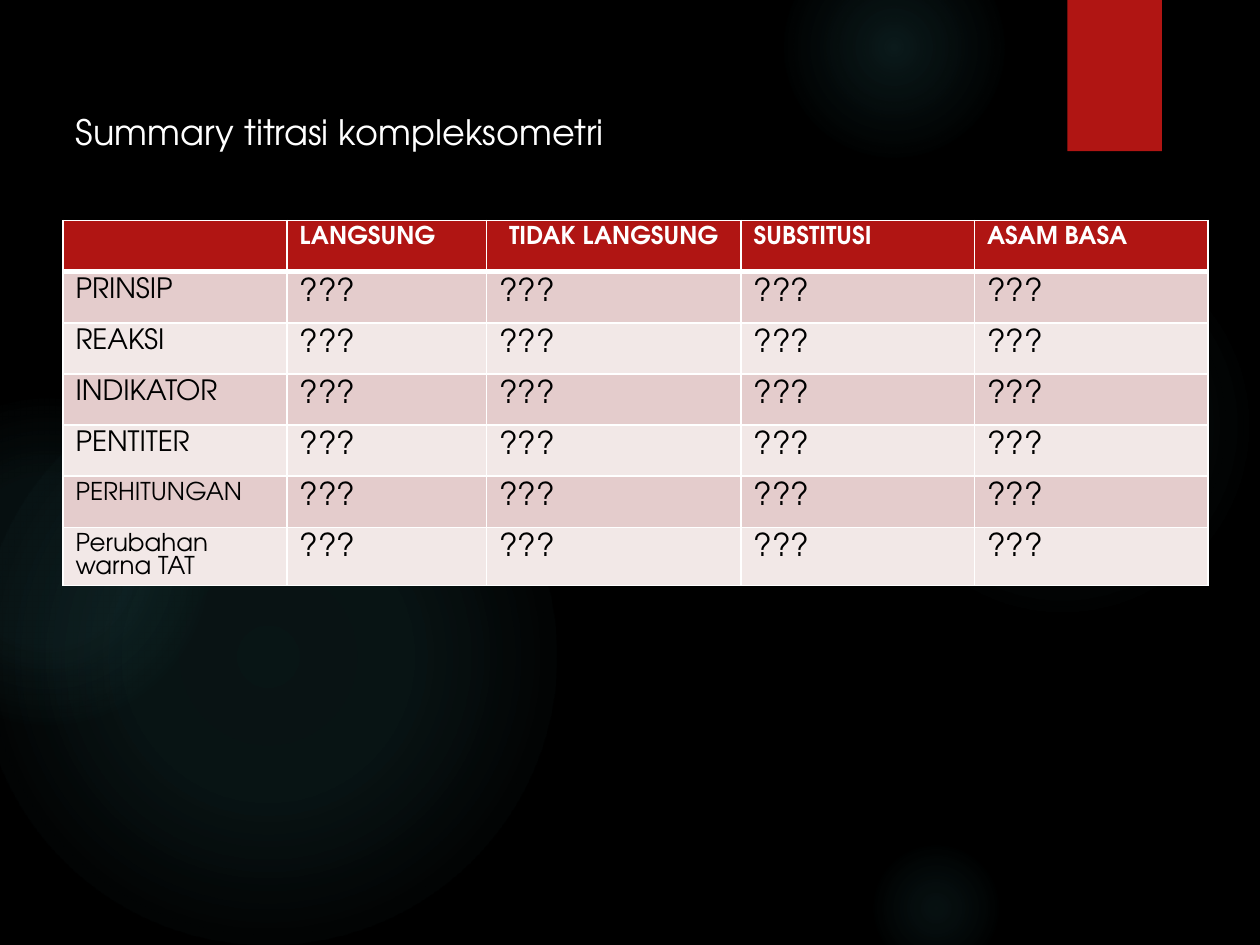
"""Build a slide with a comparison table of complexometric titrations."""
import dataclasses

import pptx
import pptx.dml.color
import pptx.enum.shapes
import pptx.enum.text
import pptx.oxml
import pptx.oxml.ns
import pptx.util

Pt = pptx.util.Pt
RGB = pptx.dml.color.RGBColor.from_string
SHAPE = pptx.enum.shapes.MSO_SHAPE
ALIGN = pptx.enum.text.PP_ALIGN
qn = pptx.oxml.ns.qn
NS = pptx.oxml.ns.nsdecls("a")


@dataclasses.dataclass(frozen=True)
class Theme:
    font: str = "TeX Gyre Adventor"
    background: str = "000000"
    accent: str = "B01513"
    glow: str = "50B9C1"
    light: str = "FFFFFF"
    dark: str = "000000"
    bands: tuple = ("E4CCCC", "F2E8E7")
    title_size: int = 20
    header_size: int = 14
    label_size: int = 16
    small_size: int = 14
    value_size: int = 18


class Deck:
    def __init__(self, theme):
        self.theme = theme
        self.prs = pptx.Presentation()
        self.prs.slide_width, self.prs.slide_height = Pt(720), Pt(540)
        self.s = None

    def slide(self):
        self.s = self.prs.slides.add_slide(self.prs.slide_layouts[5])
        fill = self.s.background.fill
        fill.solid()
        fill.fore_color.rgb = RGB(self.theme.background)

    def run(self, p, text, size, color, bold=False):
        r = p.add_run()
        r.text = text
        r.font.name = self.theme.font
        r.font.size = Pt(size)
        r.font.bold = bold
        r.font.color.rgb = RGB(color)

    def shape(self, kind, left, top, width, height):
        sp = self.s.shapes.add_shape(kind, Pt(left), Pt(top), Pt(width), Pt(height))
        sp.line.fill.background()
        sp.shadow.inherit = False
        return sp

    def ribbon(self, *box):
        sp = self.shape(SHAPE.RECTANGLE, *box)
        sp.fill.solid()
        sp.fill.fore_color.rgb = RGB(self.theme.accent)

    def glow(self, left, top, size, inner, middle, edge):
        sp = self.shape(SHAPE.OVAL, left, top, size, size)
        sp.fill.background()
        stops = "".join(
            f'<a:gs pos="{pos * 1000}"><a:srgbClr val="{self.theme.glow}">'
            f'<a:alpha val="{alpha * 1000}"/></a:srgbClr></a:gs>'
            for pos, alpha in ((0, inner), (36, middle), (edge, 0))
        )
        gradient = pptx.oxml.parse_xml(
            f'<a:gradFill {NS} rotWithShape="1"><a:gsLst>{stops}</a:gsLst>'
            '<a:path path="circle"><a:fillToRect l="50000" t="50000" '
            'r="50000" b="50000"/></a:path></a:gradFill>'
        )
        props = sp.element.spPr
        props.replace(props.find(qn("a:noFill")), gradient)

    def title(self, text, left, top, width, height):
        sp = self.s.shapes.title
        sp.left, sp.top, sp.width, sp.height = Pt(left), Pt(top), Pt(width), Pt(height)
        sp.element.getparent().append(sp.element)
        tf = sp.text_frame
        tf.word_wrap = True
        tf.auto_size = pptx.enum.text.MSO_AUTO_SIZE.NONE
        tf.vertical_anchor = pptx.enum.text.MSO_ANCHOR.TOP
        tf.margin_top = Pt(9)
        p = tf.paragraphs[0]
        p.alignment = ALIGN.LEFT
        self.run(p, text, self.theme.title_size, self.theme.light)

    def borders(self, cell, top, bottom):
        props = cell._tc.get_or_add_tcPr()
        widths = {"lnL": 1, "lnR": 1, "lnT": top, "lnB": bottom}
        for i, (side, width) in enumerate(widths.items()):
            props.insert(i, pptx.oxml.parse_xml(
                f'<a:{side} {NS} w="{Pt(width)}"><a:solidFill>'
                f'<a:srgbClr val="{self.theme.light}"/></a:solidFill></a:{side}>'
            ))

    def cell(self, cell, text, fill, size, color, bold=False, align=ALIGN.LEFT,
             top=1, bottom=1):
        cell.fill.solid()
        cell.fill.fore_color.rgb = RGB(fill)
        self.borders(cell, top, bottom)
        p = cell.text_frame.paragraphs[0]
        p.alignment = align
        if text:
            self.run(p, text, size, color, bold)

    def table(self, headers, labels, value, left, top, widths, row_height):
        t = self.theme
        rows = len(labels) + 1
        table = self.s.shapes.add_table(
            rows, len(headers), Pt(left), Pt(top), Pt(sum(widths)), Pt(rows * row_height)
        ).table
        table.horz_banding = False
        for column, width in zip(table.columns, widths):
            column.width = Pt(width)
        for row in table.rows:
            row.height = Pt(row_height)
        for j, (text, align) in enumerate(headers):
            self.cell(table.cell(0, j), text, t.accent, t.header_size, t.light,
                      bold=True, align=align, bottom=3)
        for i, (label, size) in enumerate(labels, 1):
            fill = t.bands[(i - 1) % 2]
            edge = 3 if i == 1 else 1
            self.cell(table.cell(i, 0), label, fill, size, t.dark, top=edge)
            for j in range(1, len(headers)):
                self.cell(table.cell(i, j), value, fill, t.value_size, t.dark, top=edge)


def main():
    theme = Theme()
    deck = Deck(theme)
    deck.slide()
    for glow in (
        (496, 132, 222, 7, 6, 69),
        (448, -36, 126, 14, 7, 73),
        (496, 480, 78, 9, 5, 66),
        (-12, 210, 330, 11, 10, 75),
        (-66, 228, 186, 8, 8, 72),
    ):
        deck.glow(*glow)
    deck.ribbon(610, 0, 54, 86.4)
    deck.title("Summary titrasi kompleksometri", 36, 54, 648, 428.4)
    headers = (
        ("", ALIGN.LEFT),
        ("LANGSUNG", ALIGN.LEFT),
        ("TIDAK LANGSUNG", ALIGN.CENTER),
        ("SUBSTITUSI", ALIGN.LEFT),
        ("ASAM BASA", ALIGN.LEFT),
    )
    labels = (
        ("PRINSIP", theme.label_size),
        ("REAKSI", theme.label_size),
        ("INDIKATOR", theme.label_size),
        ("PENTITER", theme.label_size),
        ("PERHITUNGAN", theme.small_size),
        ("Perubahan warna TAT", theme.small_size),
    )
    deck.table(headers, labels, "???", 36, 126, (128, 114, 145.5, 133.4, 133.4), 29.25)
    deck.prs.save("out.pptx")


if __name__ == "__main__":
    main()
